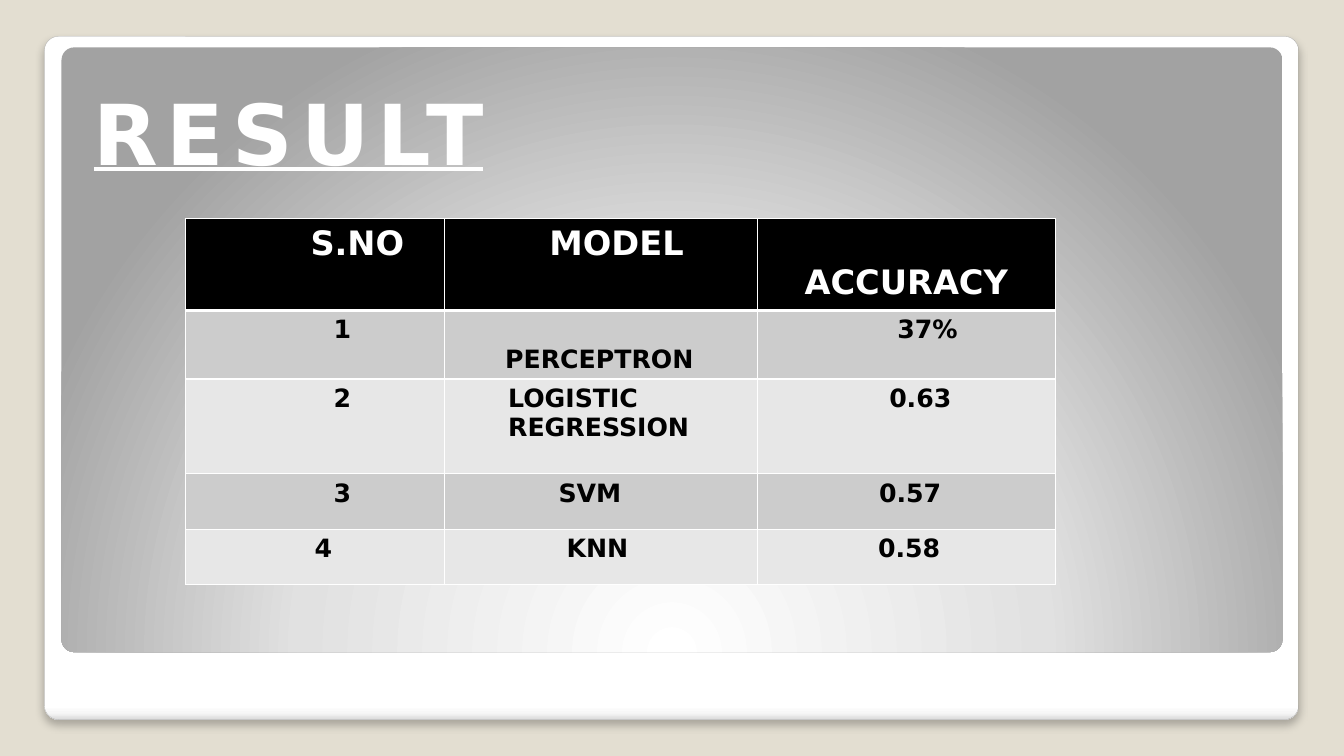
from pptx import Presentation
from pptx.dml.color import RGBColor
from pptx.enum.shapes import MSO_SHAPE
from pptx.enum.text import MSO_ANCHOR, MSO_AUTO_SIZE, PP_ALIGN
from pptx.oxml import parse_xml
from pptx.oxml.ns import nsdecls, qn
from pptx.util import Inches, Pt

ROUNDED, LEFT = MSO_SHAPE.ROUNDED_RECTANGLE, PP_ALIGN.LEFT
TOP, BOTTOM = MSO_ANCHOR.TOP, MSO_ANCHOR.BOTTOM
NO_AUTOFIT = MSO_AUTO_SIZE.NONE

WHITE = RGBColor(0xFF, 0xFF, 0xFF)
BLACK = RGBColor(0, 0, 0)
BEIGE = RGBColor(0xE3, 0xDE, 0xD1)
NEAR_WHITE = RGBColor(0xF7, 0xF7, 0xF7)
CARD_EDGE = RGBColor(0xDA, 0xDA, 0xDA)
CARD_LINE = RGBColor(0xA4, 0xA4, 0xA4)
PANEL_MIDDLE = RGBColor(0xE1, 0xE1, 0xE1)
PANEL_EDGE = RGBColor(0xA2, 0xA2, 0xA2)
ODD_ROW = RGBColor(0xCC, 0xCC, 0xCC)
EVEN_ROW = RGBColor(0xE7, 0xE7, 0xE7)
FONT = "DejaVu Sans"

TITLE = "RESULT"
# Each cell: text, left indent in inches, number of lines it is lowered by
ROWS = [
    [("S.NO", 1.14, 0), ("MODEL", 0.94, 0), ("ACCURACY", 0.37, 1)],
    [("1", 1.37, 0), ("PERCEPTRON", 0.5, 1), ("37%", 1.29, 0)],
    [("2", 1.37, 0), ("LOGISTIC REGRESSION", 0.53, 0), ("0.63", 1.21, 0)],
    [("3", 1.37, 0), ("SVM", 1.03, 0), ("0.57", 1.11, 0)],
    [("4", 1.18, 0), ("KNN", 1.11, 0), ("0.58", 1.1, 0)],
]
COLUMN_WIDTHS = [2.57, 3.1, 2.96]
ROW_HEIGHTS = [0.91, 0.68, 0.94, 0.55, 0.55]
TABLE_LEFT, TABLE_TOP = 1.84, 2.17
HEADER_SIZE, BODY_SIZE = 24, 18
LINE_SPACING = 1.164  # line height of the font, relative to its size

CARD_STOPS = [(0, WHITE), (98, WHITE), (99, NEAR_WHITE), (100, CARD_EDGE)]
PANEL_STOPS = [(0, WHITE), (55, PANEL_MIDDLE), (100, PANEL_EDGE)]
LINEAR_DOWN = '<a:lin ang="5400000" scaled="0"/>'
CIRCLE_FROM_BOTTOM = (
    '<a:path path="circle">'
    '<a:fillToRect l="50000" t="175000" r="50000" b="-75000"/></a:path>'
)
CARD_SHADOW = (
    f'<a:outerShdw {nsdecls("a")} blurRad="{Pt(6)}" dist="{Pt(4)}" dir="5400000" '
    'algn="tl" rotWithShape="0"><a:srgbClr val="000000">'
    '<a:alpha val="25000"/></a:srgbClr></a:outerShdw>'
)


def set_format(target, values):
    for name, value in values.items():
        setattr(target, name, value)


def format_font(font, size, color):
    set_format(font, {"name": FONT, "size": Pt(size), "bold": True})
    font.color.rgb = color


def add_rounded_panel(slide, box, stops, direction):
    shape = slide.shapes.add_shape(ROUNDED, *map(Inches, box))
    shape.adjustments[0] = 0.021
    shape.shadow.inherit = False
    shape.line.fill.background()
    shape.fill.background()
    stop_xml = "".join(
        f'<a:gs pos="{position * 1000}"><a:srgbClr val="{color}"/></a:gs>'
        for position, color in stops
    )
    gradient = parse_xml(
        f'<a:gradFill {nsdecls("a")} rotWithShape="1"><a:gsLst>{stop_xml}</a:gsLst>'
        f"{direction}</a:gradFill>"
    )
    properties = shape._element.spPr
    properties.replace(properties.find(qn("a:noFill")), gradient)
    return shape


def set_borders(cell, widths):
    """Draw white borders; widths maps a:lnL, a:lnR and so on to points."""
    properties = cell._tc.get_or_add_tcPr()
    for index, (tag, width) in enumerate(widths.items()):
        properties.insert(index, parse_xml(
            f'<{tag} {nsdecls("a")} w="{Pt(width)}"><a:solidFill>'
            f'<a:srgbClr val="{WHITE}"/></a:solidFill></{tag}>'
        ))


def fill_cell(cell, content, row):
    text, indent, lowered_lines = content
    header = row == 0
    size = HEADER_SIZE if header else BODY_SIZE
    line_height = size * LINE_SPACING / 72
    set_format(cell, {
        "text": text,
        "vertical_anchor": TOP,
        "margin_left": Inches(0.1 + indent),
        "margin_right": Inches(0.1),
        "margin_top": Inches(round(0.05 + lowered_lines * line_height, 2)),
        "margin_bottom": Inches(0.05),
    })
    paragraph = cell.text_frame.paragraphs[0]
    paragraph.alignment = LEFT
    format_font(paragraph.runs[0].font, size, WHITE if header else BLACK)
    cell.fill.solid()
    cell.fill.fore_color.rgb = BLACK if header else (EVEN_ROW, ODD_ROW)[row % 2]
    set_borders(cell, {
        "a:lnL": 1, "a:lnR": 1,
        "a:lnT": 3 if row == 1 else 1,
        "a:lnB": 3 if header else 1,
    })


def add_title(slide):
    title = slide.shapes.title
    set_format(title, {
        "left": Inches(0.83), "top": Inches(0.71),
        "width": Inches(11.93), "height": Inches(1.15),
    })
    frame = title.text_frame
    set_format(frame, {
        "text": TITLE, "vertical_anchor": BOTTOM,
        "word_wrap": True, "auto_size": NO_AUTOFIT,
    })
    paragraph = frame.paragraphs[0]
    paragraph.alignment = LEFT
    font = paragraph.runs[0].font
    format_font(font, 60, WHITE)
    font.underline = True
    font._element.set("spc", "600")
    # Bring the title in front of the background panels
    slide.shapes._spTree.append(title._element)


def add_result_table(slide):
    table = slide.shapes.add_table(
        len(ROWS), len(COLUMN_WIDTHS), Inches(TABLE_LEFT), Inches(TABLE_TOP),
        Inches(sum(COLUMN_WIDTHS)), Inches(sum(ROW_HEIGHTS)),
    ).table
    for column, width in zip(table.columns, COLUMN_WIDTHS):
        column.width = Inches(width)
    for row, height in zip(table.rows, ROW_HEIGHTS):
        row.height = Inches(height)
    for row, contents in enumerate(ROWS):
        for column, content in enumerate(contents):
            fill_cell(table.cell(row, column), content, row)


def main():
    presentation = Presentation()
    presentation.slide_width = Inches(13.33)
    presentation.slide_height = Inches(7.5)
    slide = presentation.slides.add_slide(presentation.slide_layouts[5])
    slide.background.fill.solid()
    slide.background.fill.fore_color.rgb = BEIGE

    card = add_rounded_panel(slide, (0.44, 0.36, 12.44, 6.78), CARD_STOPS, LINEAR_DOWN)
    card.line.color.rgb = CARD_LINE
    card.line.width = Pt(0.16)
    card._element.spPr.find(qn("a:effectLst")).append(parse_xml(CARD_SHADOW))
    add_rounded_panel(slide, (0.61, 0.47, 12.11, 6), PANEL_STOPS, CIRCLE_FROM_BOTTOM)

    add_title(slide)
    add_result_table(slide)
    presentation.save("out.pptx")


if __name__ == "__main__":
    main()
